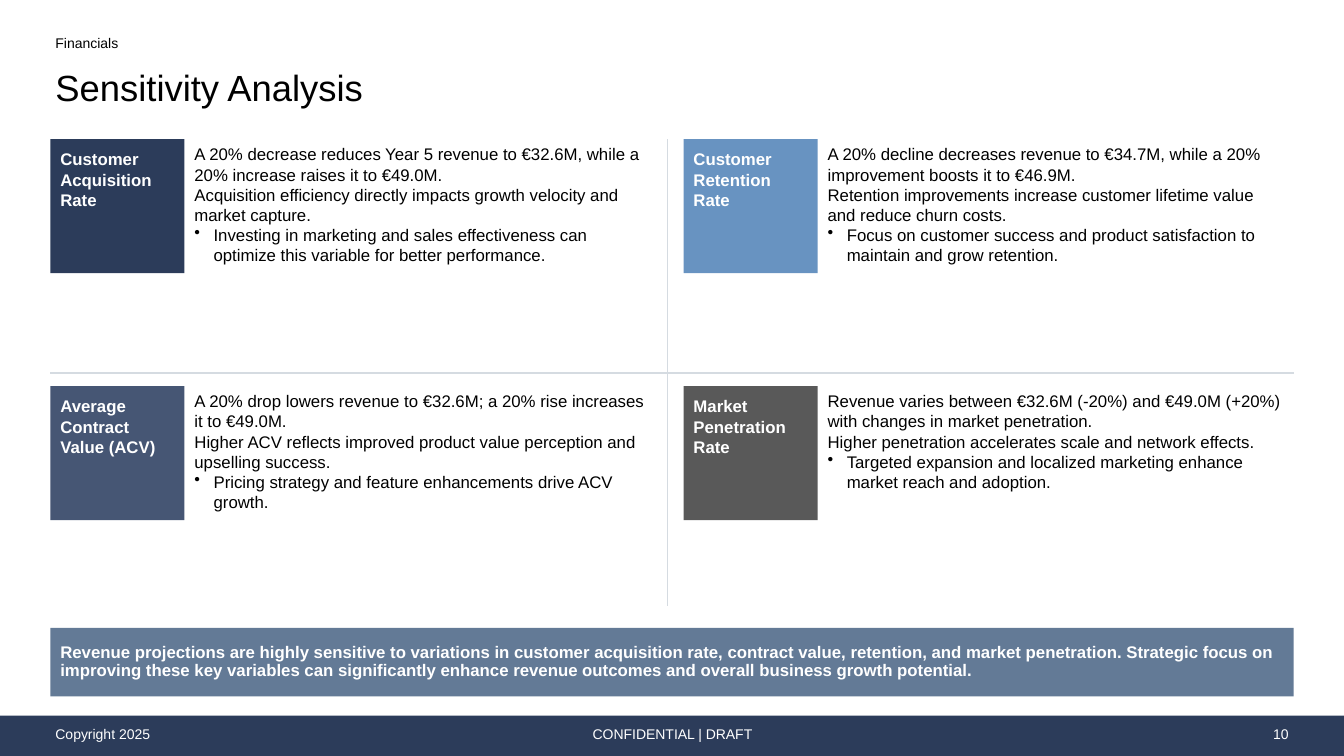
from lxml import etree
from pptx import Presentation
from pptx import util as u
from pptx.dml.color import RGBColor
from pptx.enum import shapes, text
from pptx.oxml.ns import qn

FONT = "Arial"
NAVY, WHITE, BLACK, RULE = "2C3C5A", "FFFFFF", "000000", "D5DBE1"
LEFT, TOP, WIDTH = 0.5, 1.38, 12.33
COLUMN_STEP, ROW_STEP = 6.28, 2.45
TILE, BODY_WIDTH, BODY_HEIGHT = 1.33, 4.72, 2.18
BULLET_INDENT = 0.19
FOOTER_TOP, FOOTER_HEIGHT = 7.14, 0.28

DRIVERS = [
    ("Customer Acquisition Rate", NAVY, [
        "A 20% decrease reduces Year 5 revenue to €32.6M, while a 20% increase raises it to €49.0M.",
        "Acquisition efficiency directly impacts growth velocity and market capture.",
        "Investing in marketing and sales effectiveness can optimize this variable for better performance.",
    ]),
    ("Customer Retention Rate", "6893C1", [
        "A 20% decline decreases revenue to €34.7M, while a 20% improvement boosts it to €46.9M.",
        "Retention improvements increase customer lifetime value and reduce churn costs.",
        "Focus on customer success and product satisfaction to maintain and grow retention.",
    ]),
    ("Average Contract Value (ACV)", "465674", [
        "A 20% drop lowers revenue to €32.6M; a 20% rise increases it to €49.0M.",
        "Higher ACV reflects improved product value perception and upselling success.",
        "Pricing strategy and feature enhancements drive ACV growth.",
    ]),
    ("Market Penetration Rate", "595959", [
        "Revenue varies between €32.6M (-20%) and €49.0M (+20%) with changes in market penetration.",
        "Higher penetration accelerates scale and network effects.",
        "Targeted expansion and localized marketing enhance market reach and adoption.",
    ]),
]
TAKEAWAY = (
    "Revenue projections are highly sensitive to variations in customer acquisition rate, "
    "contract value, retention, and market penetration. Strategic focus on improving these key "
    "variables can significantly enhance revenue outcomes and overall business growth potential."
)


def color(hex_value):
    """Turn a hex string into a colour."""
    return RGBColor.from_string(hex_value)


def add_bullet(paragraph):
    """Give a paragraph a hanging bullet."""
    properties = paragraph._p.get_or_add_pPr()
    properties.set("marL", str(u.Inches(BULLET_INDENT)))
    properties.set("indent", str(-u.Inches(BULLET_INDENT)))
    etree.SubElement(properties, qn("a:buChar")).set("char", "•")


def write_text(shape, paragraphs, size=12, fill=BLACK, bold=False, align="LEFT",
               anchor="TOP", insets=(0.05, 0.05, 0.05, 0.05), spacing=None, bullet_last=False):
    """Fill a shape with formatted paragraphs."""
    frame = shape.text_frame
    frame.word_wrap = True
    frame.vertical_anchor = text.MSO_ANCHOR[anchor]
    frame.margin_left, frame.margin_top, frame.margin_right, frame.margin_bottom = map(u.Inches, insets)
    for index, content in enumerate(paragraphs):
        paragraph = frame.add_paragraph() if index else frame.paragraphs[0]
        paragraph.text = content
        paragraph.alignment = text.PP_ALIGN[align]
        if spacing:
            paragraph.line_spacing = spacing
        if bullet_last and index == len(paragraphs) - 1:
            add_bullet(paragraph)
        paragraph.font.name = FONT
        paragraph.font.size = u.Pt(size)
        paragraph.font.bold = bold
        paragraph.font.color.rgb = color(fill)


def add_text(slide, left, top, width, height, paragraphs, **style):
    """Add a text box."""
    box = slide.shapes.add_textbox(*map(u.Inches, (left, top, width, height)))
    write_text(box, paragraphs, **style)


def add_block(slide, left, top, width, height, fill):
    """Add a plain filled rectangle."""
    block = slide.shapes.add_shape(shapes.MSO_SHAPE.RECTANGLE, *map(u.Inches, (left, top, width, height)))
    block.shadow.inherit = False
    block.fill.solid()
    block.fill.fore_color.rgb = color(fill)
    block.line.fill.background()
    return block


def add_rule(slide, *ends):
    """Add a thin divider between two points."""
    rule = slide.shapes.add_connector(shapes.MSO_CONNECTOR.STRAIGHT, *map(u.Inches, ends))
    rule.line.color.rgb = color(RULE)
    rule.line.width = u.Pt(1)
    etree.SubElement(rule._element.spPr, qn("a:effectLst"))


def add_driver(slide, left, top, label, fill, points):
    """Add a coloured label tile with its findings beside it."""
    add_text(slide, left + TILE, top, BODY_WIDTH, BODY_HEIGHT, points,
             insets=(0.1, 0.05, 0.1, 0), bullet_last=True)
    tile = add_block(slide, left, top, TILE, TILE, fill)
    write_text(tile, [label], fill=WHITE, bold=True, insets=(0.1,) * 4)


def add_footer(slide):
    """Add the footer bar and its three texts."""
    add_block(slide, 0, 7.1, 13.33, 0.4, NAVY)
    for left, width, content, align in [
        (LEFT, 3.97, "Copyright 2025", "LEFT"),
        (4.42, 4.5, "CONFIDENTIAL | DRAFT", "CENTER"),
        (9.83, 3, "10", "RIGHT"),
    ]:
        add_text(slide, left, FOOTER_TOP, width, FOOTER_HEIGHT, [content],
                 size=10, fill=WHITE, align=align, anchor="MIDDLE")


def main():
    """Build the sensitivity analysis slide."""
    presentation = Presentation()
    presentation.slide_width = u.Inches(13.33)
    presentation.slide_height = u.Inches(7.5)
    slide = presentation.slides.add_slide(presentation.slide_layouts[6])

    add_footer(slide)
    add_text(slide, LEFT, 0.6, WIDTH, 0.54, ["Sensitivity Analysis"], size=26,
             anchor="MIDDLE", insets=(0.05, 0.05, 0.05, 0), spacing=0.9)
    add_text(slide, LEFT, 0.31, WIDTH, 0.29, ["Financials"], size=10, spacing=0.9)

    for index, driver in enumerate(DRIVERS):
        row, column = divmod(index, 2)
        add_driver(slide, LEFT + column * COLUMN_STEP, TOP + row * ROW_STEP, *driver)

    add_rule(slide, 6.62, TOP, 6.62, TOP + ROW_STEP + BODY_HEIGHT)
    add_rule(slide, LEFT, 3.7, LEFT + WIDTH, 3.7)

    banner = add_block(slide, LEFT, 6.23, WIDTH, 0.68, "637A96")
    write_text(banner, [TAKEAWAY], fill=WHITE, bold=True, anchor="MIDDLE",
               insets=(0.1,) * 4, spacing=0.9)
    presentation.save("out.pptx")


if __name__ == "__main__":
    main()
